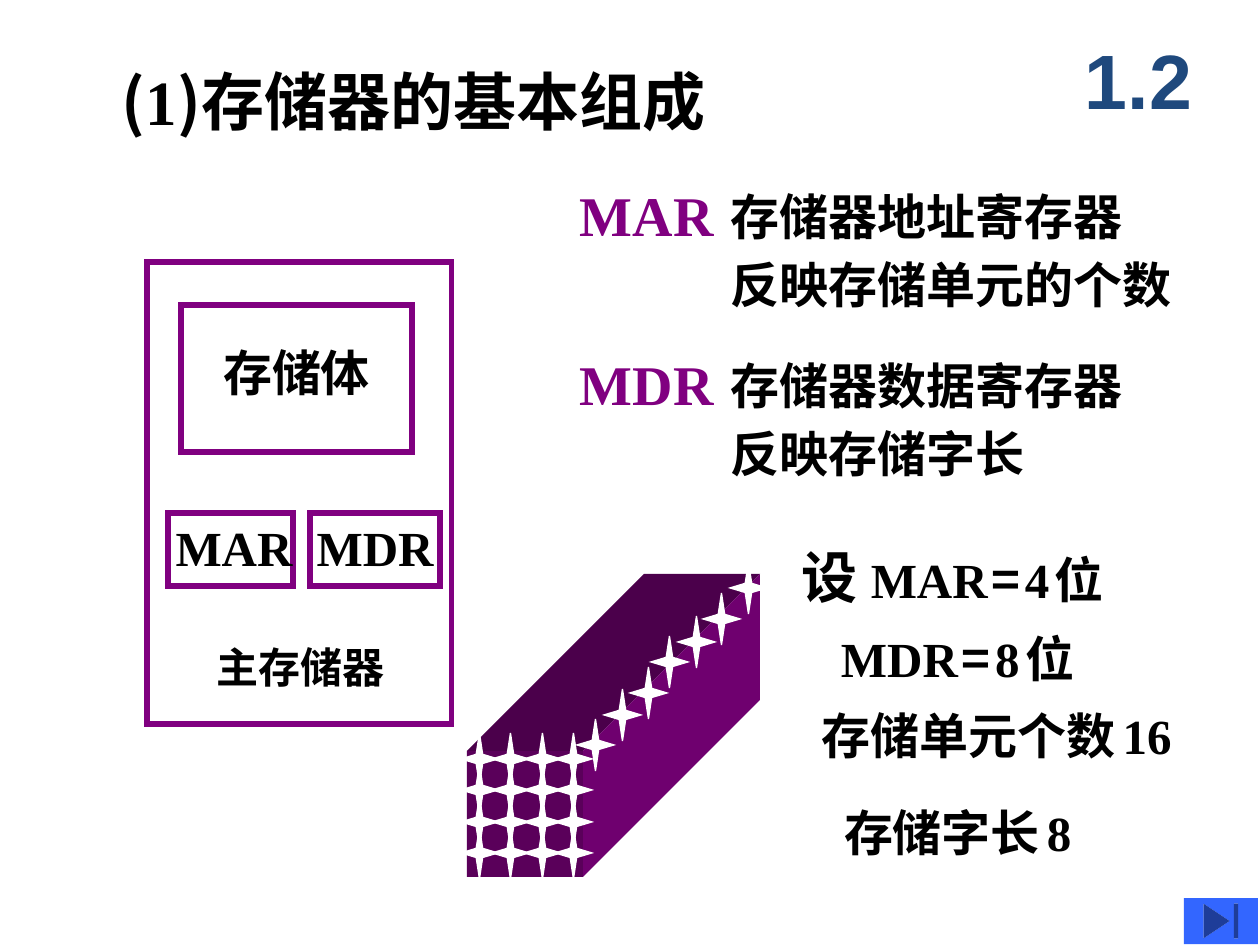
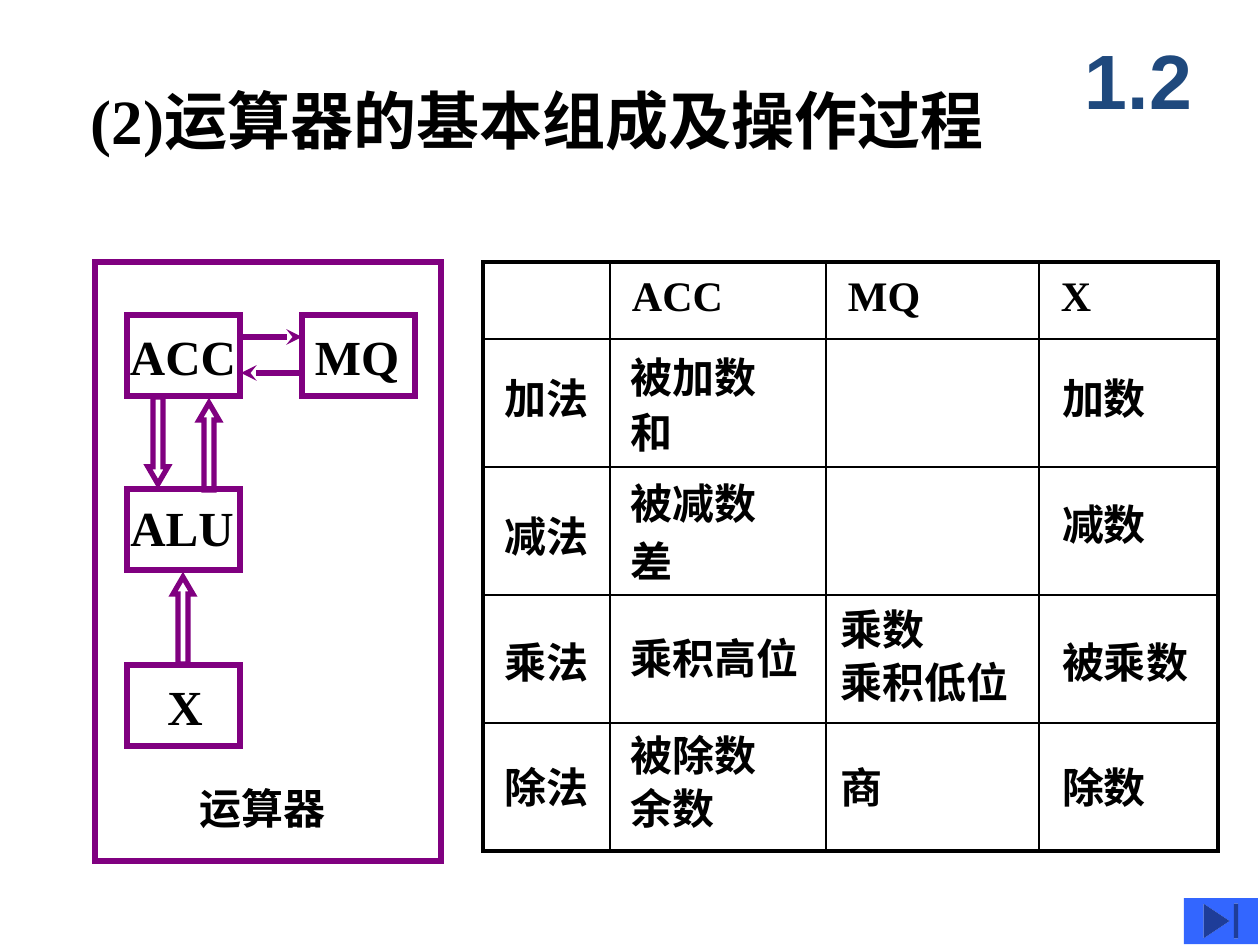
from lxml import etree
from pptx import Presentation
from pptx.dml.color import RGBColor
from pptx.enum.shapes import MSO_CONNECTOR, MSO_SHAPE
from pptx.enum.text import MSO_ANCHOR, MSO_AUTO_SIZE, PP_ALIGN
from pptx.oxml.ns import qn
from pptx.util import Emu, Pt

EMU_PER_PX = 914400 / 126
COLORS = {"ink": "000000", "purple": "800080", "navy": "1F497D", "button": "3366FF",
          "star": "FFFFFF", "front": "5A005A", "top": "4B004B", "side": "6F006F"}
CJK, SERIF, SANS = "Noto Sans CJK SC", "Times New Roman", "Arial"
LEFT, CENTER = PP_ALIGN.LEFT, PP_ALIGN.CENTER
MIDDLE, BOTTOM = MSO_ANCHOR.MIDDLE, MSO_ANCHOR.BOTTOM
NO_AUTOSIZE = MSO_AUTO_SIZE.NONE
RECTANGLE, STAR = MSO_SHAPE.RECTANGLE, MSO_SHAPE.STAR_4_POINT
UP_ARROW, DOWN_ARROW = MSO_SHAPE.UP_ARROW, MSO_SHAPE.DOWN_ARROW
END_BUTTON = MSO_SHAPE.ACTION_BUTTON_END
STRAIGHT = MSO_CONNECTOR.STRAIGHT


def px(length):
    """Turn px into EMU."""
    return Emu(round(length * EMU_PER_PX))


def box_emu(*lengths):
    """Turn several px lengths into EMU."""
    return [px(length) for length in lengths]


def rgb(name):
    """Look up a colour by its name."""
    return RGBColor.from_string(COLORS[name])


def style_font(font, size, face, color):
    """Make a font bold with one face for Latin and East Asian text."""
    font.size, font.bold, font.name = Pt(size), True, face
    font.color.rgb = rgb(color)
    east_asian = CJK if face == SERIF else face
    font._rPr.find(qn("a:latin")).addnext(
        etree.Element(qn("a:ea"), typeface=east_asian))


def write(paragraph, content, size=28, face=CJK, color="ink", align=LEFT):
    """Fill a paragraph with a string or with (text, size, face) runs."""
    paragraph.alignment = align
    if isinstance(content, str):
        paragraph.text = content
        style_font(paragraph.font, size, face, color)
        return
    for text, run_size, run_face in content:
        run = paragraph.add_run()
        run.text = text
        style_font(run.font, run_size, run_face, color)


def prepare_frame(frame, anchor=MIDDLE, left=0, right=0, bottom=0):
    """Give a text frame tight margins and a fixed size."""
    frame.word_wrap, frame.auto_size = True, NO_AUTOSIZE
    frame.vertical_anchor = anchor
    frame.margin_left, frame.margin_top = px(left), 0
    frame.margin_right, frame.margin_bottom = px(right), px(bottom)


def add_lines(slide, box, lines, pitch=None, **style):
    """Add a text box with one paragraph per line."""
    frame = slide.shapes.add_textbox(*box_emu(*box)).text_frame
    prepare_frame(frame)
    for index, line in enumerate(lines):
        paragraph = frame.add_paragraph() if index else frame.paragraphs[0]
        write(paragraph, line, **style)
        if pitch:
            paragraph.line_spacing = px(pitch)


def paint(shape, fill, line=None, width=3):
    """Set the fill and the sharp-cornered outline of a shape."""
    shape.shadow.inherit = False
    if fill:
        shape.fill.solid()
        shape.fill.fore_color.rgb = rgb(fill)
    else:
        shape.fill.background()
    if line:
        shape.line.color.rgb, shape.line.width = rgb(line), Pt(width)
        etree.SubElement(shape.line._get_or_add_ln(), qn("a:miter"), lim="800000")
    else:
        shape.line.fill.background()


def add_flat(slide, kind, box, fill=None, line=None, width=3):
    """Add a flat preset shape."""
    shape = slide.shapes.add_shape(kind, *box_emu(*box))
    paint(shape, fill, line, width)
    return shape


def add_unit(slide, box, label, size=28, face=SERIF, **layout):
    """Add a purple outlined unit with its label."""
    unit = add_flat(slide, RECTANGLE, box, line="purple")
    prepare_frame(unit.text_frame, **layout)
    write(unit.text_frame.paragraphs[0], label, size, face, align=CENTER)


def add_common(slide, heading, box):
    """Place the heading, the section number and the navigation button."""
    title = slide.shapes.title
    title.left, title.top, title.width, title.height = box_emu(*box)
    prepare_frame(title.text_frame)
    write(title.text_frame.paragraphs[0], heading, 36, SERIF)
    add_lines(slide, (1060, 21, 157, 116), ["1.2"], size=44, face=SANS,
              color="navy", align=CENTER)
    add_flat(slide, END_BUTTON, (1184, 898, 74, 46), "button")


def add_memory(slide, left, top):
    """Draw the main memory with its store and two registers."""
    add_unit(slide, (left, top, 305, 462), "主存储器", 24, CJK,
             anchor=BOTTOM, left=2, bottom=32)
    add_unit(slide, (left + 34, top + 43, 231, 147), "存储体", face=CJK, bottom=14)
    add_unit(slide, (left + 21, top + 251, 125, 73), "MAR", left=7, bottom=6)
    add_unit(slide, (left + 163, top + 251, 130, 73), "MDR", bottom=6)


def add_register_note(slide, left, top, register, lines):
    """Explain one register beside its name."""
    add_lines(slide, (left, top, 150, 70), [register], size=32, face=SERIF,
              color="purple")
    add_lines(slide, (left + 151, top - 2, 480, 136), lines, pitch=68)


def add_face(slide, points, fill):
    """Add one slanted face of the memory block."""
    builder = slide.shapes.build_freeform(*points[0], scale=EMU_PER_PX)
    builder.add_line_segments(points[1:])
    paint(builder.convert_to_shape(), fill)


def add_memory_block(slide, left, top):
    """Draw the deep block whose stars stand for stored bits."""
    width, height, depth = 116, 126, 177
    front_top, right = top + depth, left + width
    far = right + depth
    add_face(slide, [(left, front_top), (left + depth, top), (far, top),
                     (right, front_top)], "top")
    add_face(slide, [(right, front_top), (far, top), (far, top + height),
                     (right, front_top + height)], "side")
    add_flat(slide, RECTANGLE, (left, front_top, width, height), "front")
    cells = [(63 * column // 2 - 6, 159 + 63 * row // 2)
             for row in range(4) for column in range(4)]
    receding = [(110, 145), (137, 115), (163, 93), (184, 62),
                (211, 42), (236, 19), (263, -12)]
    for x, y in cells + receding:
        star = add_flat(slide, STAR, (left + x, top + y, 37, 52),
                        "star", "star", 0.75)
        star.adjustments[0] = 0.125


def register_size(register, bits):
    """Return the runs that state the width of a register."""
    return [(register, 28, SERIF), (" ", 9, CJK), ("=", 28, CJK), (" ", 12, CJK),
            (bits, 28, SERIF), (" ", 14, CJK), ("位", 28, CJK)]


def quantity(name, value):
    """Return the runs that state a resulting quantity."""
    return [(name, 28, CJK), (" ", 18, CJK), (value, 28, SERIF)]


def fill_example(body, left, top):
    """Set the worked example in the body placeholder."""
    body.left, body.top, body.width, body.height = box_emu(left, top, 440, 328)
    frame = body.text_frame
    prepare_frame(frame)
    lines = [(13, 0, [("设 ", 32, CJK)] + register_size("MAR", "4")),
             (52, 0, register_size("MDR", "8")),
             (33, 0, quantity("存储单元个数", "16")),
             (55, 20, quantity("存储字长", "8"))]
    for index, (indent, gap, content) in enumerate(lines):
        paragraph = frame.add_paragraph() if index else frame.paragraphs[0]
        write(paragraph, content)
        paragraph.line_spacing, paragraph.space_before = px(77), px(gap)
        properties = paragraph._p.get_or_add_pPr()
        properties.set("marL", str(px(indent)))
        properties.set("indent", "0")
        etree.SubElement(properties, qn("a:buNone"))


def build_memory_slide(deck):
    """Build the slide on the memory."""
    slide = deck.slides.add_slide(deck.slide_layouts[1])
    heading = [("(", 36, CJK), ("1", 36, SERIF), (")存储器的基本组成", 36, CJK)]
    add_common(slide, heading, (122, 56, 800, 88))
    add_register_note(slide, 580, 179, "MAR", ["存储器地址寄存器", "反映存储单元的个数"])
    add_register_note(slide, 580, 348, "MDR", ["存储器数据寄存器", "反映存储字长"])
    add_memory(slide, 147, 262)
    add_memory_block(slide, 467, 574)
    fill_example(slide.placeholders[1], 789, 533)


def add_transfer(slide, start, end, y):
    """Draw a thin arrow between two registers."""
    arrow = slide.shapes.add_connector(STRAIGHT, *box_emu(start, y, end, y))
    arrow.line.color.rgb, arrow.line.width = rgb("purple"), Pt(3)
    etree.SubElement(arrow.line._get_or_add_ln(), qn("a:tailEnd"), type="stealth")
    etree.SubElement(arrow._element.spPr, qn("a:effectLst"))


def add_arithmetic_unit(slide, left, top):
    """Draw the arithmetic unit with its registers and data paths."""
    add_unit(slide, (left, top, 346, 599), "运算器", 24, CJK,
             anchor=BOTTOM, right=11, bottom=28)
    for x, y, label, layout in [(32, 53, "ACC", {"right": 1}),
                                (207, 53, "MQ", {"right": 3}),
                                (32, 227, "ALU", {"right": 3, "bottom": 6}),
                                (32, 403, "X", {"left": 3})]:
        add_unit(slide, (left + x, top + y, 113, 81), label, **layout)
    for kind, x, y in [(DOWN_ARROW, 53, 135), (UP_ARROW, 104, 141), (UP_ARROW, 78, 315)]:
        data_path = add_flat(slide, kind, (left + x, top + y, 20, 87), line="purple")
        data_path.adjustments[0], data_path.adjustments[1] = 0.495, 0.857
    add_transfer(slide, left + 146, left + 207, top + 75)
    add_transfer(slide, left + 207, left + 146, top + 111)


def set_borders(cell, outer_sides):
    """Draw cell borders, thicker on the outer sides."""
    for side in "LRTB":
        weight = 2.25 if side in outer_sides else 1
        border = etree.SubElement(cell._tc.get_or_add_tcPr(), qn("a:ln" + side),
                                  w=str(Pt(weight)))
        fill = etree.SubElement(border, qn("a:solidFill"))
        etree.SubElement(fill, qn("a:srgbClr"), val=COLORS["ink"])


def add_operand_grid(slide, left, top):
    """Add the ruled table headed by the register names."""
    registers = ["", "ACC", "MQ", "X"]
    widths, heights = [127, 216, 213, 179], [77, 128, 128, 128, 128]
    table = slide.shapes.add_table(5, 4, *box_emu(left, top, sum(widths),
                                                  sum(heights))).table
    table.first_row = table.horz_banding = False
    for column, width in zip(table.columns, widths):
        column.width = px(width)
    for r, height in enumerate(heights):
        table.rows[r].height = px(height)
        for c, register in enumerate(registers):
            cell = table.cell(r, c)
            sides = {"L": c == 0, "R": c == 3, "T": r == 0, "B": r == 4}
            set_borders(cell, [side for side in sides if sides[side]])
            cell.fill.background()
            cell.vertical_anchor = MIDDLE
            cell.margin_left, cell.margin_bottom = px(22), px(6)
            cell.margin_right = cell.margin_top = 0
            if r == 0 and register:
                write(cell.text_frame.paragraphs[0], register, 24, SERIF)


def add_operands(slide, left, top):
    """Label the grid with each operation and what its registers hold."""
    columns = {22: [("加法", 138), ("减法", 276), ("乘法", 402), ("除法", 527)],
               148: [("被加数", 117), ("和", 172), ("被减数", 243), ("差", 301),
                     ("乘积高位", 398), ("被除数", 495), ("余数", 548)],
               358: [("乘数", 369), ("乘积低位", 422), ("商", 527)],
               579: [("加数", 138), ("减数", 264), ("被乘数", 402), ("除数", 527)]}
    for x, entries in columns.items():
        for operand, center in entries:
            add_lines(slide, (left + x, top + center - 32, 180, 60), [operand],
                      size=24, face=SERIF)


def build_arithmetic_slide(deck):
    """Build the slide on the arithmetic unit."""
    slide = deck.slides.add_slide(deck.slide_layouts[5])
    add_common(slide, "(2)运算器的基本组成及操作过程", (91, 75, 960, 88))
    add_arithmetic_unit(slide, 95, 262)
    add_operand_grid(slide, 483, 262)
    add_operands(slide, 483, 262)


def main():
    """Build and save the presentation."""
    deck = Presentation()
    deck.slide_width, deck.slide_height = px(1260), px(945)
    build_memory_slide(deck)
    build_arithmetic_slide(deck)
    deck.save("out.pptx")


if __name__ == "__main__":
    main()
